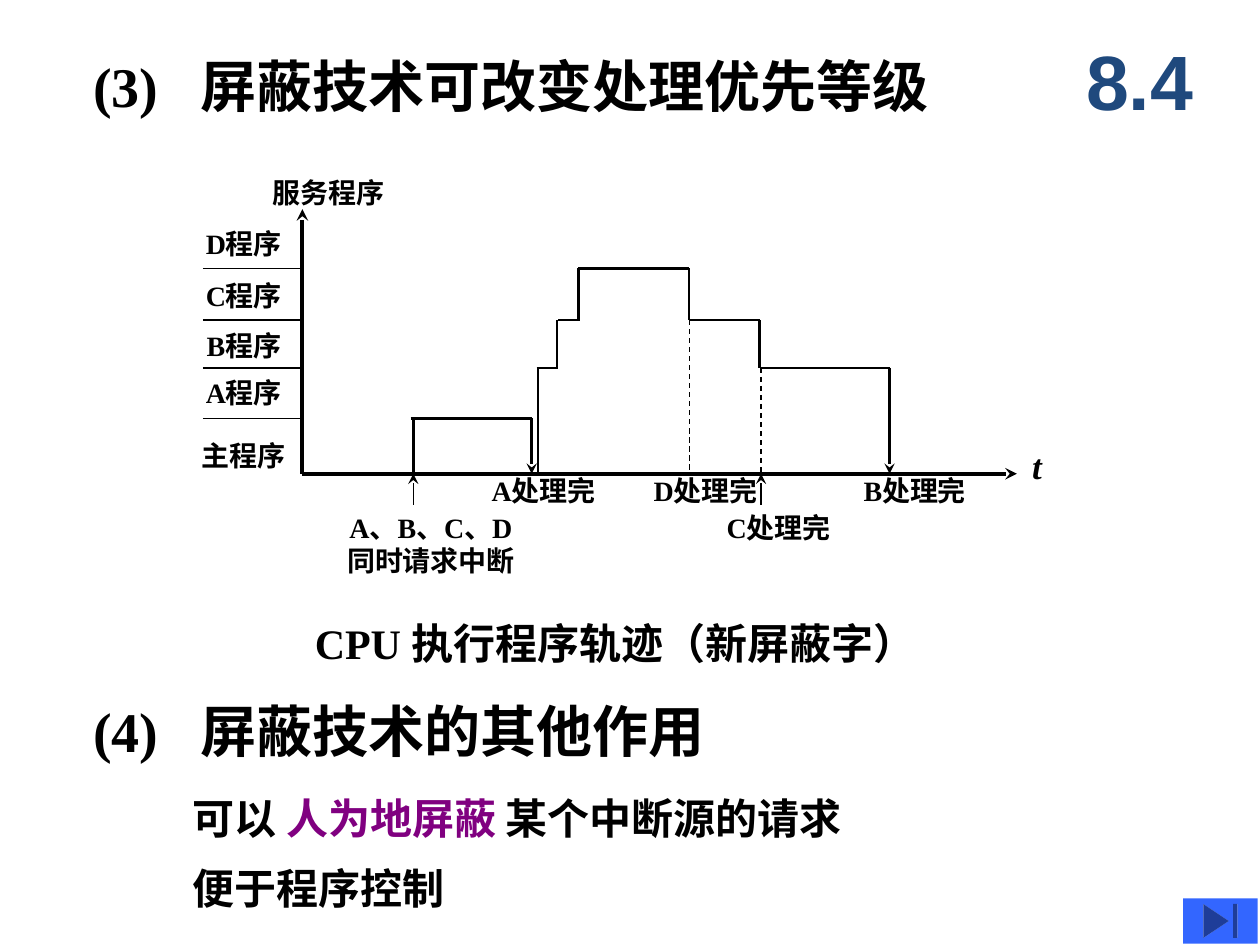
from dataclasses import dataclass

from lxml.etree import SubElement
from pptx import Presentation
from pptx.dml.color import RGBColor
from pptx.enum.dml import MSO_LINE
from pptx.enum.shapes import MSO_CONNECTOR, MSO_SHAPE
from pptx.enum.text import MSO_ANCHOR, PP_ALIGN
from pptx.oxml.ns import qn
from pptx.util import Inches, Pt

BLACK, NAVY, PURPLE, BLUE = "000000", "1F497D", "800080", "3366FF"
SERIF = "Times New Roman"


@dataclass
class Label:
    text: str
    left: float
    top: float
    width: float
    height: float = 0.36
    size: float = 16
    color: str = BLACK
    font: str = SERIF
    align: PP_ALIGN = PP_ALIGN.CENTER
    anchor: MSO_ANCHOR = MSO_ANCHOR.TOP
    inset: tuple = (0, 0, 0, 0)
    italic: bool = False
    tab: float = 0


@dataclass
class Segment:
    x1: float
    y1: float
    x2: float
    y2: float
    weight: float = 1.5
    arrow: str = ""  # "headEnd" at the start, "tailEnd" at the finish
    dashed: bool = False


def rgb(hex_color: str) -> RGBColor:
    return RGBColor.from_string(hex_color)


def draw_label(slide, label: Label):
    box = slide.shapes.add_textbox(Inches(label.left), Inches(label.top),
                                   Inches(label.width), Inches(label.height))
    frame = box.text_frame
    frame.word_wrap = True
    frame.vertical_anchor = label.anchor
    (frame.margin_left, frame.margin_top,
     frame.margin_right, frame.margin_bottom) = map(Inches, label.inset)
    frame.text = label.text
    for paragraph in frame.paragraphs:
        paragraph.alignment = label.align
        if label.tab:
            stops = SubElement(paragraph._p.get_or_add_pPr(), qn("a:tabLst"))
            SubElement(stops, qn("a:tab"), pos=str(Inches(label.tab)), algn="l")
        font = paragraph.font
        font.name, font.size = label.font, Pt(label.size)
        font.bold, font.italic = True, label.italic
        font.color.rgb = rgb(label.color)
    return frame


def draw_segment(slide, segment: Segment) -> None:
    connector = slide.shapes.add_connector(
        MSO_CONNECTOR.STRAIGHT, Inches(segment.x1), Inches(segment.y1),
        Inches(segment.x2), Inches(segment.y2))
    line = connector.line
    line.color.rgb = rgb(BLACK)
    line.width = Pt(segment.weight)
    if segment.dashed:
        line.dash_style = MSO_LINE.DASH
    properties = connector._element.spPr
    if segment.arrow:
        SubElement(properties.find(qn("a:ln")), qn(f"a:{segment.arrow}"), type="stealth")
    SubElement(properties, qn("a:effectLst"))


def draw_headings(slide) -> None:
    for text, top in (("(3)\t屏蔽技术可改变处理优先等级", 0.44),
                      ("(4)\t屏蔽技术的其他作用", 5.56)):
        draw_label(slide, Label(text, 0.74, top, 7.57, 0.47, 32, align=PP_ALIGN.LEFT,
                                anchor=MSO_ANCHOR.MIDDLE, tab=0.85))
    draw_label(slide, Label("8.4", 8.42, 0.17, 1.25, 0.92, 44, NAVY, "Arial",
                            anchor=MSO_ANCHOR.MIDDLE, inset=(0.1, 0.05, 0.1, 0.05)))


def draw_trace(slide) -> None:
    # Heights of the program levels
    main, a, b, c, d = 3.76, 3.32, 2.92, 2.54, 2.13
    axis_x, request_x, c_done_x = 2.4, 3.28, 6.04

    # Axes
    draw_segment(slide, Segment(axis_x, main, 8.07, main, 2.25, "tailEnd"))
    draw_segment(slide, Segment(axis_x, 1.66, axis_x, main, 2.25, "headEnd"))
    draw_label(slide, Label("服务程序", 2.02, 1.39, 1.17))
    draw_label(slide, Label("t", 8, 3.53, 0.46, size=20, italic=True))

    # Program names and the rules between them
    for name, top in (("主程序", 3.48), ("A程序", 2.98), ("B程序", 2.61),
                      ("C程序", 2.21), ("D程序", 1.8)):
        draw_label(slide, Label(name, 1.53, top, 0.81))
    for level in (a, b, c, d):
        draw_segment(slide, Segment(1.61, level, 2.39, level, 0.75))

    # Execution trace
    for segment in (
        Segment(request_x, a, request_x, main),
        Segment(3.26, a, 4.22, a),
        Segment(4.22, a, 4.22, main, arrow="tailEnd"),
        Segment(4.27, b, 4.27, main),
        Segment(4.26, b, 4.43, b),
        Segment(4.42, c, 4.42, b),
        Segment(4.43, c, 4.6, c),
        Segment(4.59, d, 4.59, c),
        Segment(4.59, d, 5.47, d),
        Segment(5.47, d, 5.47, c),
        Segment(5.47, c, 6.03, c),
        Segment(6.03, c, 6.03, b),
        Segment(6.04, b, 7.06, b),
        Segment(7.06, b, 7.06, main, arrow="tailEnd"),
        Segment(5.47, c, 5.47, main, 0.75, dashed=True),
        Segment(c_done_x, b, c_done_x, main, 0.75, dashed=True),
    ):
        draw_segment(slide, segment)

    # Events on the time axis
    for x in (request_x, c_done_x):
        draw_segment(slide, Segment(x, main, x, 4.01, 0.75, "headEnd"))
    for event in (
        Label("A处理完", 3.79, main, 1.05),
        Label("D处理完", 5.1, main, 1),
        Label("B处理完", 6.69, main, 1.14),
        Label("C处理完", 5.7, 4.05, 0.96),
        Label("A、B、C、D\n同时请求中断", 2.63, 4.05, 1.58, 0.56),
    ):
        draw_label(slide, event)
    draw_label(slide, Label("CPU 执行程序轨迹（新屏蔽字）", axis_x, 4.85, 5.67, 0.5, 24,
                            align=PP_ALIGN.LEFT, inset=(0.1, 0.05, 0.1, 0.05)))


def draw_uses(slide) -> None:
    inset = (0, 0.05, 0.1, 0.05)
    masking = draw_label(slide, Label("可以 ", 1.53, 6.24, 6.9, 0.5, 24,
                                      align=PP_ALIGN.LEFT, inset=inset)).paragraphs[0]
    emphasis = masking.add_run()
    emphasis.text = "人为地屏蔽 "
    emphasis.font.color.rgb = rgb(PURPLE)
    masking.add_run().text = "某个中断源的请求"
    draw_label(slide, Label("便于程序控制", 1.53, 6.8, 4.4, 0.5, 24,
                            align=PP_ALIGN.LEFT, inset=inset))


def draw_end_button(slide) -> None:
    button = slide.shapes.add_shape(MSO_SHAPE.ACTION_BUTTON_END, Inches(9.39),
                                    Inches(7.13), Inches(0.59), Inches(0.36))
    button.shadow.inherit = False
    button.fill.solid()
    button.fill.fore_color.rgb = rgb(BLUE)
    button.line.fill.background()


def main() -> None:
    deck = Presentation()
    deck.slide_width, deck.slide_height = Inches(10), Inches(7.5)
    slide = deck.slides.add_slide(deck.slide_layouts[6])
    draw_headings(slide)
    draw_trace(slide)
    draw_uses(slide)
    draw_end_button(slide)
    deck.save("out.pptx")


if __name__ == "__main__":
    main()
